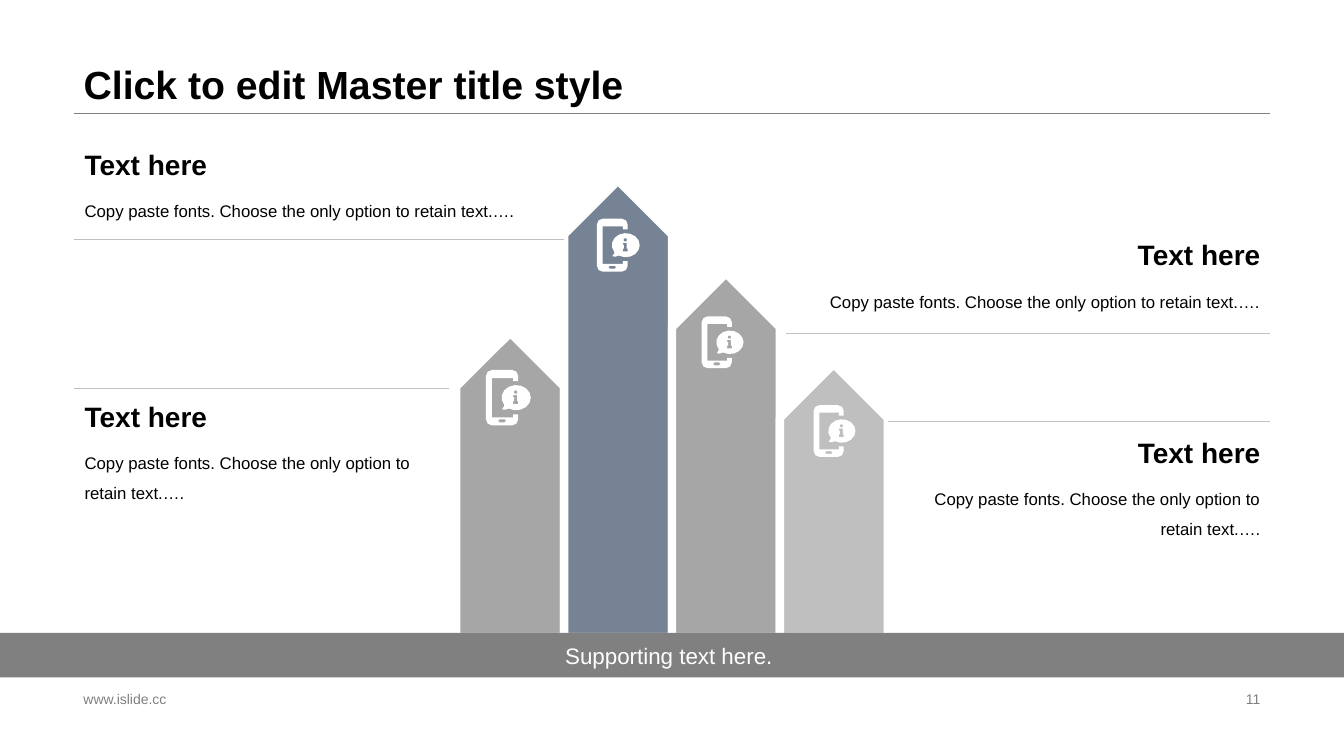
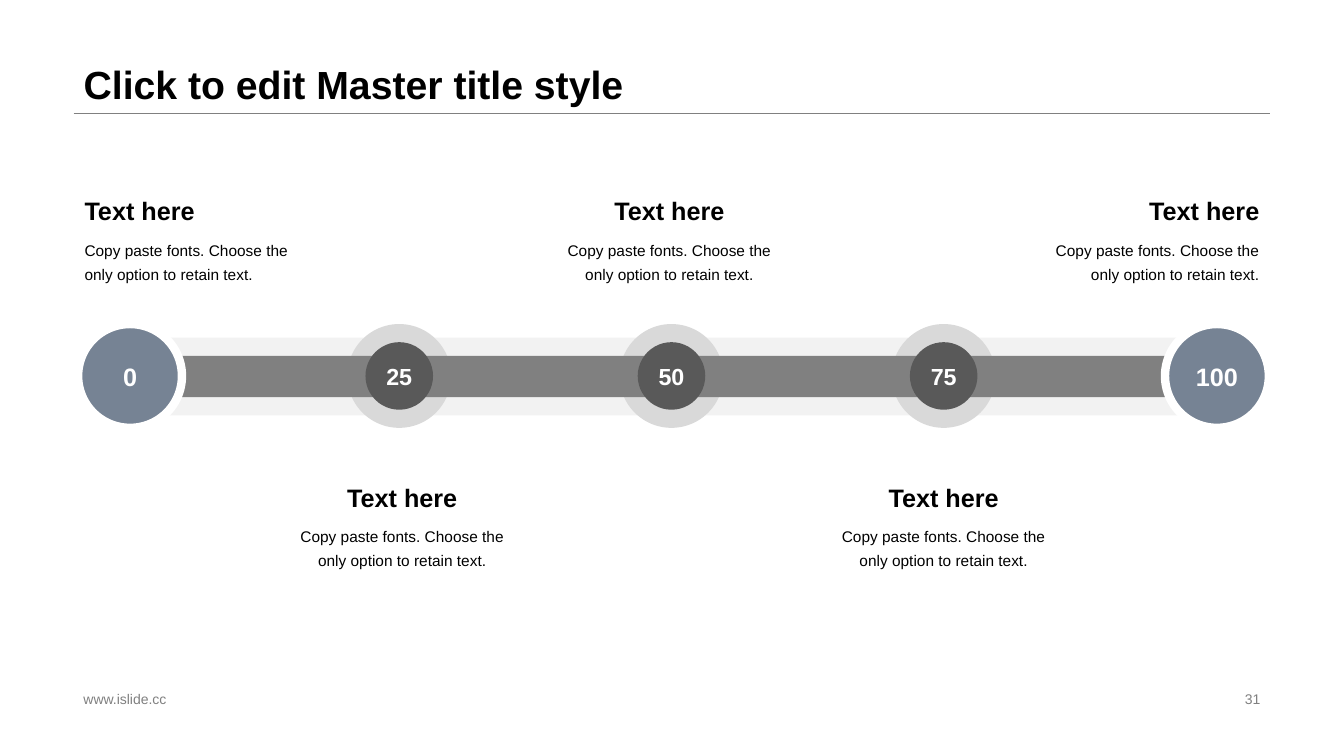
from math import cos, radians, sin

from lxml import etree
from pptx import Presentation
from pptx import util as u
from pptx.dml.color import RGBColor
from pptx.enum import shapes, text
from pptx.oxml.ns import qn

# Shared look
FONT = "Arial"
BLACK, WHITE, GRAY, SLATE = "000000", "FFFFFF", "808080", "768394"
LEFT, CENTER, RIGHT = text.PP_ALIGN.LEFT, text.PP_ALIGN.CENTER, text.PP_ALIGN.RIGHT
TOP, MIDDLE, BOTTOM = text.MSO_ANCHOR.TOP, text.MSO_ANCHOR.MIDDLE, text.MSO_ANCHOR.BOTTOM
KINDS = shapes.MSO_SHAPE
TITLE = "Click to edit Master title style"
SITE = "www.islide.cc"
MARGIN, RIGHT_EDGE = 0.73, 12.6
HEADING = "Text here"

# Slide 1: bars (length, colour, icon left, icon top, icon width)
BARS = [
    (3.02, "A6A6A6", 4.82, 3.67, 0.44),
    (4.53, SLATE, 5.92, 2.17, 0.42),
    (3.61, "A6A6A6", 6.96, 3.14, 0.41),
    (2.71, "BFBFBF", 8.07, 4.02, 0.41),
]
BAR_WIDTH, FIRST_BAR, BAR_BOTTOM = 1.07, 5.06, 6.32
BAR_TEXT = "Copy paste fonts. Choose the only option to retain text.…."
# (left, heading top, width, body height, alignment)
BAR_NOTES = [
    (0.74, 1.41, 4.86, 0.51, LEFT),
    (0.74, 3.91, 3.72, 0.67, LEFT),
    (8.88, 4.27, 3.72, 0.67, RIGHT),
    (7.8, 2.31, 4.8, 0.48, RIGHT),
]
# (from, to, height on the page)
RULES = [
    (MARGIN, 5.59, 2.37),
    (MARGIN, 4.45, 3.85),
    (8.81, RIGHT_EDGE, 4.18),
    (7.8, RIGHT_EDGE, 3.31),
]
SUPPORT = "Supporting text here. "

# Slide 2: timeline
STEPS = ["25", "50", "75"]
FIRST_STEP, STEP_GAP, AXIS = 3.96, 2.7, 3.73
ENDS = [("0", 1.29), ("100", 12.07)]
STEP_TEXT = "Copy paste fonts. Choose the only option to retain text."
# (left, heading top, alignment)
STEP_NOTES = [
    (0.74, 1.79, LEFT),
    (5.41, 1.79, CENTER),
    (10.13, 1.79, RIGHT),
    (2.76, 4.63, CENTER),
    (8.13, 4.63, CENTER),
]


def color(value):
    return RGBColor.from_string(value)


def write(shape, words, size, ink=BLACK, bold=False, align=LEFT, anchor=TOP, spacing=None):
    frame = shape.text_frame
    frame.word_wrap = True
    frame.auto_size = text.MSO_AUTO_SIZE.NONE
    frame.vertical_anchor = anchor
    frame.text = words
    para = frame.paragraphs[0]
    para.alignment = align
    if spacing:
        para.line_spacing = spacing
    para.font.name, para.font.size, para.font.bold = FONT, u.Pt(size), bold
    para.font.color.rgb = color(ink)


def add_text(page, at, words, size, **style):
    box = page.shapes.add_textbox(*map(u.Inches, at))
    write(box, words, size, **style)


def paint(shape, fill, outline=None):
    shape.shadow.inherit = False
    shape.fill.solid()
    shape.fill.fore_color.rgb = color(fill)
    if outline:
        shape.line.color.rgb = color(outline)
        shape.line.width = u.Pt(6)
    else:
        shape.line.fill.background()


def add_block(page, kind, at, fill, outline=None):
    block = page.shapes.add_shape(kind, *map(u.Inches, at))
    paint(block, fill, outline)
    return block


def add_circle(page, middle, size, fill, outline=None):
    at = (middle - size / 2, AXIS - size / 2, size, size)
    return add_block(page, KINDS.OVAL, at, fill, outline)


def add_number(circle, words, size):
    write(circle, words, size, ink=WHITE, bold=True, align=CENTER, anchor=MIDDLE)
    frame = circle.text_frame
    frame.margin_left = frame.margin_right = 0
    frame.word_wrap = False


def add_rule(page, start, end, height, ink):
    ends = map(u.Inches, (start, height, end, height))
    rule = page.shapes.add_connector(shapes.MSO_CONNECTOR.STRAIGHT, *ends)
    rule.line.color.rgb = color(ink)
    rule.line.width = u.Pt(0.25)
    etree.SubElement(rule._element.spPr, qn("a:effectLst"))


def add_page(deck, number):
    page = deck.slides.add_slide(deck.slide_layouts[5])
    add_rule(page, MARGIN, RIGHT_EDGE, 1.12, GRAY)
    title = page.shapes.title
    title.left, title.top = u.Inches(MARGIN), u.Inches(0)
    title.width, title.height = u.Inches(RIGHT_EDGE - MARGIN), u.Inches(1.12)
    write(title, TITLE, 28, bold=True, anchor=BOTTOM, spacing=0.9)
    add_text(page, (MARGIN, 6.82, 4.53, 0.23), SITE, 10, ink=GRAY, anchor=MIDDLE)
    add_text(page, (9.42, 6.82, 3.18, 0.23), number, 10, ink=GRAY, align=RIGHT, anchor=MIDDLE)
    return page


# Phone icon, drawn on a grid 44 wide and 55 high
def arc(x, y, across, down, start, end, steps=2):
    angles = [radians(start + (end - start) * i / steps) for i in range(steps + 1)]
    return [(x + across * cos(a), y + down * sin(a)) for a in angles]


PHONE = (
    arc(6, 6, 6, 6, 180, 270) + arc(26, 6, 6, 6, 270, 360)
    + [(32, 11), (27, 11), (27, 8), (6, 8), (6, 47), (27, 47), (27, 44), (32, 44)]
    + arc(26, 49, 6, 6, 0, 90) + arc(6, 49, 6, 6, 90, 180)
)
BUTTON = arc(13.5, 50.5, 1.5, 1.5, 90, 270) + arc(18.5, 50.5, 1.5, 1.5, 270, 450)
BUBBLE = arc(30, 27.5, 14.5, 12.5, 145, 480, 14) + [(19, 39.5), (16, 39), (18, 36)]
LETTER_STEM = [(27, 25), (27, 27), (28, 27), (28, 31), (27, 31),
               (27, 34), (32, 34), (32, 31), (31, 31), (31, 25)]
LETTER_DOT = arc(29.5, 22, 1.8, 1.8, 0, 315, 7)


def add_icon(page, left, top, width):
    grid = 100
    builder = None
    for outline in (PHONE, BUTTON, BUBBLE, LETTER_STEM, LETTER_DOT):
        points = [(x * grid, y * grid) for x, y in outline]
        if builder is None:
            builder = page.shapes.build_freeform(*points[0], scale=u.Inches(width) / (44 * grid))
        else:
            builder.move_to(*points[0])
        builder.add_line_segments(points[1:], close=True)
    paint(builder.convert_to_shape(u.Inches(left), u.Inches(top)), WHITE)


def build_bars(deck):
    page = add_page(deck, "11")
    for i, (length, fill, *_) in enumerate(BARS):
        middle = FIRST_BAR + i * BAR_WIDTH
        at = (middle - length / 2, BAR_BOTTOM - length / 2 - BAR_WIDTH / 2, length, BAR_WIDTH)
        add_block(page, KINDS.PENTAGON, at, fill, WHITE).rotation = 270
    for *_, left, top, width in BARS:
        add_icon(page, left, top, width)

    band = add_block(page, KINDS.RECTANGLE, (0, 6.28, 13.33, 0.44), GRAY)
    write(band, SUPPORT, 16, ink=WHITE, align=CENTER, anchor=MIDDLE)

    for start, end, height in RULES:
        add_rule(page, start, end, height, "BFBFBF")
    for left, top, width, height, align in BAR_NOTES:
        add_text(page, (left, top, width, 0.43), HEADING, 20, bold=True, align=align)
        add_text(page, (left, top + 0.43, width, height), BAR_TEXT, 12, align=align, spacing=1.5)


def build_timeline(deck):
    page = add_page(deck, "31")
    middles = [FIRST_STEP + i * STEP_GAP for i in range(len(STEPS))]

    # Track, halos and bar, then the numbered circles
    track = add_block(page, KINDS.ROUNDED_RECTANGLE, (0.74, 3.35, 11.85, 0.77), "F2F2F2")
    for middle in middles:
        add_circle(page, middle, 1.03, "D9D9D9")
    bar = add_block(page, KINDS.ROUNDED_RECTANGLE, (0.93, 3.53, 11.01, 0.41), GRAY)
    track.adjustments[0] = bar.adjustments[0] = 0.5
    for words, middle in zip(STEPS, middles):
        add_number(add_circle(page, middle, 0.67, "595959"), words, 16.6)
    for words, middle in ENDS:
        add_number(add_circle(page, middle, 1.03, SLATE, WHITE), words, 18)

    for left, top, align in STEP_NOTES:
        add_text(page, (left, top, 2.46, 0.5), HEADING, 18, bold=True, align=align, anchor=BOTTOM)
        add_text(page, (left, top + 0.5, 2.46, 0.72), STEP_TEXT, 11, align=align, spacing=1.3)


def main():
    deck = Presentation()
    deck.slide_width, deck.slide_height = u.Inches(13.33), u.Inches(7.5)
    build_bars(deck)
    build_timeline(deck)
    deck.save("out.pptx")


if __name__ == "__main__":
    main()
